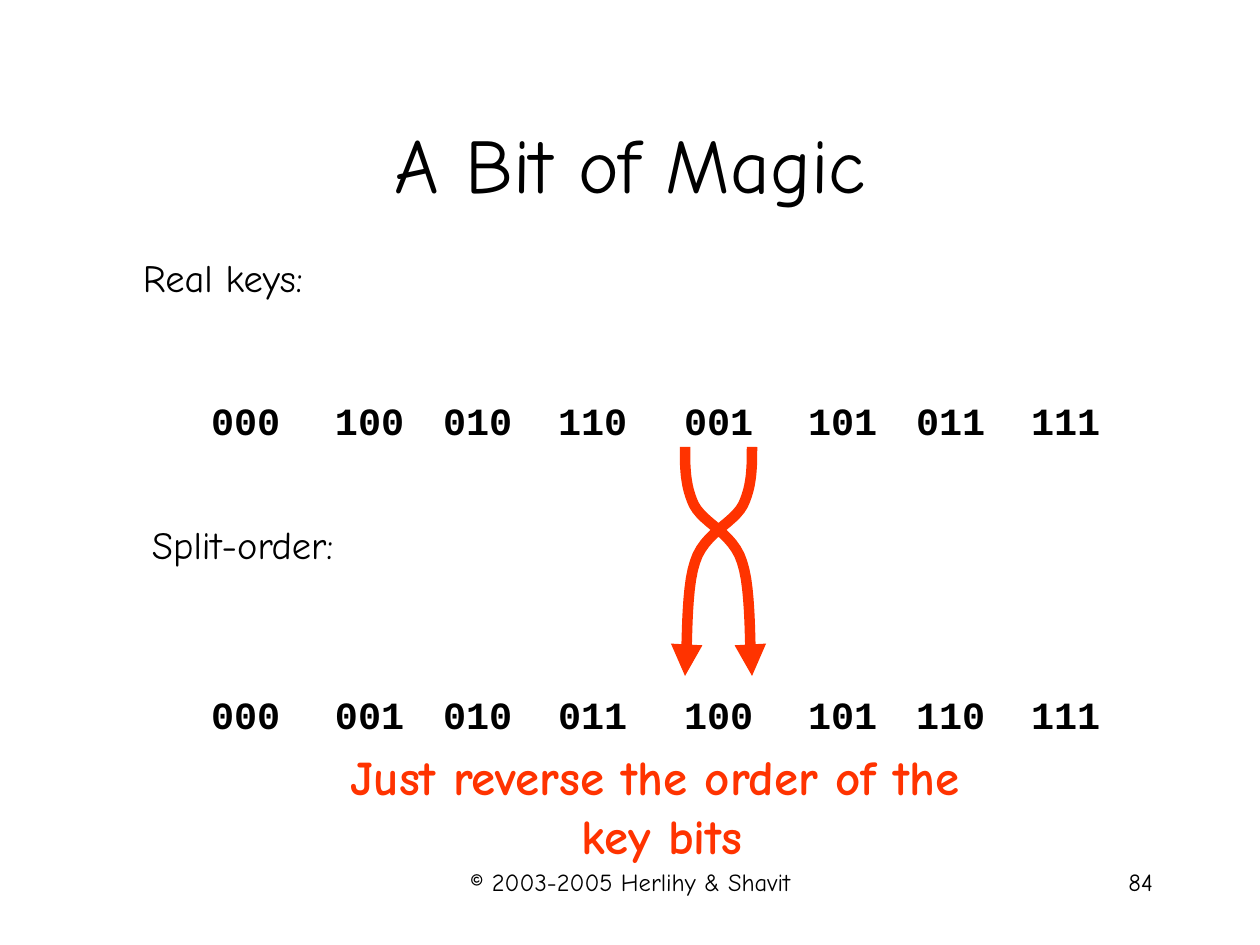
from lxml import etree
from pptx import Presentation
from pptx import util as u
from pptx.dml.color import RGBColor
from pptx.enum import text
from pptx.oxml.ns import qn

BLACK = RGBColor(0, 0, 0)
RED = RGBColor(0xFF, 0x33, 0x00)
HAND, CODE = "Comic Neue", "Courier New"
LEFT, MID, RIGHT = text.PP_ALIGN.LEFT, text.PP_ALIGN.CENTER, text.PP_ALIGN.RIGHT
GROW, FIXED = text.MSO_AUTO_SIZE.SHAPE_TO_FIT_TEXT, text.MSO_AUTO_SIZE.NONE

TITLE = "A Bit of Magic"
LABELS = [("Real keys:", (132, 248, 199, 58)),
          ("Split-order:", (141, 515, 205, 58))]
KEYS = ["000", "100", "010", "110", "001", "101", "011", "111"]
HINT = "Just reverse the order of the key bits "
FOOT = [("© 2003-2005 Herlihy & Shavit", (431, 861, 399, 63), MID),
        ("84", (903, 861, 262, 63), RIGHT)]

HALVES, STEPS = (200, 673), (0, 124, 232, 347)
ROWS = (391, 685)
CROSS = (685, 447, 67)
BENDS = [((67, 0), (67, 20), (67, 39), (58, 58)),
         ((58, 58), (48, 77), (19, 86), (10, 115)),
         ((10, 115), (0, 144), (3, 208), (0, 229))]
CUTS = 12


def px(n):
    return u.Emu(round(n * 914400 / 126))


def style(box, words, size, font=HAND, color=BLACK, bold=False, align=LEFT,
          wrap=True, fit=FIXED, side=12, anchor=text.MSO_ANCHOR.TOP):
    frame = box.text_frame
    frame.text = words
    para = frame.paragraphs[0]
    para.alignment = align
    forms = {"word_wrap": wrap, "auto_size": fit, "vertical_anchor": anchor,
             "margin_left": px(side), "margin_right": px(side),
             "margin_top": px(6), "margin_bottom": px(6)}
    for name, value in forms.items():
        setattr(frame, name, value)
    face = para.runs[0].font
    for name, value in {"size": u.Pt(size), "name": font, "bold": bold}.items():
        setattr(face, name, value)
    face.color.rgb = color
    return para


def write(slide, words, place, size, **forms):
    box = slide.shapes.add_textbox(*map(px, place))
    return style(box, words, size, **forms)


def trace(bend):
    for i in range(1, CUTS + 1):
        t = i / CUTS
        parts = ((1 - t) ** 3, 3 * t * (1 - t) ** 2, 3 * t * t * (1 - t), t ** 3)
        yield tuple(sum(w * p[k] for w, p in zip(parts, bend)) for k in (0, 1))


def arrow(slide, flip):
    left, top, wide = CROSS
    track = [BENDS[0][0]] + [p for bend in BENDS for p in trace(bend)]
    spots = [(px(left + (wide - x if flip else x)), px(top + y)) for x, y in track]
    pen = slide.shapes.build_freeform(*spots[0])
    pen.add_line_segments(spots[1:], close=False)
    curve = pen.convert_to_shape()
    curve.shadow.inherit = False
    curve.fill.background()
    curve.line.color.rgb = RED
    curve.line.width = u.Pt(6)
    line = curve.line._get_or_add_ln()
    etree.SubElement(line, qn("a:round"))
    etree.SubElement(line, qn("a:tailEnd"), type="triangle")


def main():
    deck = Presentation()
    deck.slide_width, deck.slide_height = u.Inches(10), u.Inches(7.5)
    slide = deck.slides.add_slide(deck.slide_layouts[5])

    head = slide.shapes.title
    for name, n in zip(("left", "top", "width", "height"), (95, 84, 1071, 158)):
        setattr(head, name, px(n))
    style(head, TITLE, 44, align=MID, anchor=text.MSO_ANCHOR.MIDDLE)

    for words, place in LABELS:
        write(slide, words, place, 22, wrap=False, fit=GROW, side=11)

    lefts = [half + step for half in HALVES for step in STEPS]
    swapped = [key[::-1] for key in KEYS]
    for top, row in zip(ROWS, (KEYS, swapped)):
        for left, key in zip(lefts, row):
            write(slide, key, (left, top, 92, 58), 22, font=CODE, bold=True,
                  wrap=False, fit=GROW, side=11)

    for flip in (False, True):
        arrow(slide, flip)

    hint = write(slide, HINT, (309, 741, 692, 129), 28, color=RED, bold=True,
                 align=MID, fit=GROW, side=11)
    hint._p.get_or_add_pPr().set("rtl", "1")

    for words, place, align in FOOT:
        write(slide, words, place, 14, align=align)

    deck.save("out.pptx")


if __name__ == "__main__":
    main()
